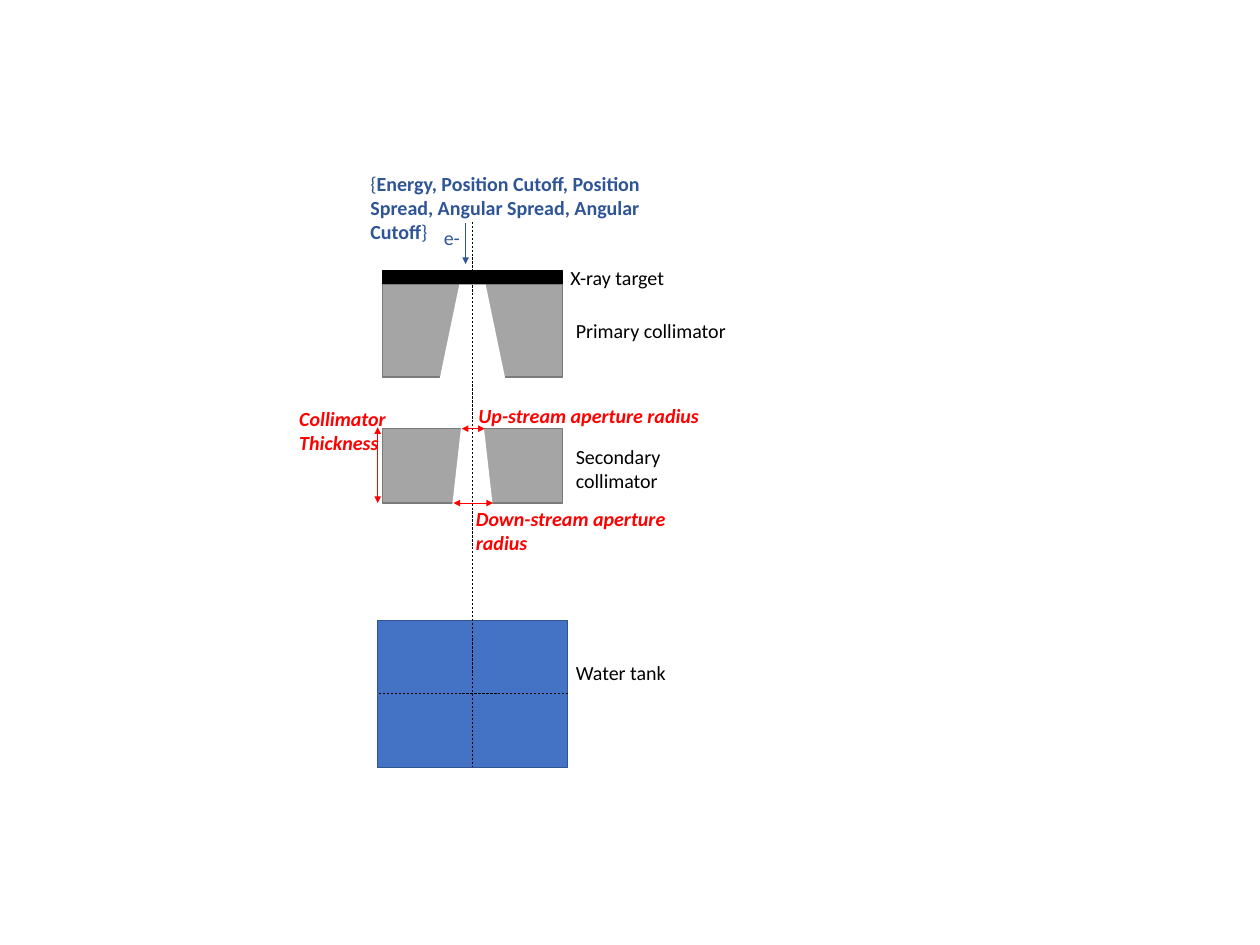
"""Build the X-ray beam line slide with target, collimators and water tank."""
from dataclasses import dataclass

from pptx import Presentation
from pptx.dml.color import RGBColor as RGB
from pptx.enum.dml import MSO_LINE_DASH_STYLE as Dash
from pptx.enum.shapes import MSO_CONNECTOR as Conn, MSO_SHAPE as Shp
from pptx.enum.text import MSO_AUTO_SIZE as AutoSize
from pptx.oxml.ns import qn
from pptx.shapes.base import BaseShape
from pptx.util import Cm, Pt

COLORS = {
    "black": "000000", "white": "FFFFFF", "metal": "A5A5A5", "metal_edge": "7A7A7A",
    "water": "4472C4", "water_edge": "325491", "beam": "2F5597", "red": "FF0000",
}
FONT = {"name": "Calibri", "size": Pt(18)}
PLAIN = {"bold": False, "italic": False}
BOLD = {"bold": True, "italic": False}
STRONG = {"bold": True, "italic": True}

AXIS = 15.0
BLOCK_W, TANK_W = 5.72, 6.05
TANK_LEFT, TANK_RIGHT = 11.99, 18.03
TANK_TOP, TANK_H = 19.69, 4.67
SEC_TOP, SEC_H = 13.61, 2.36
SEC_BOTTOM = SEC_TOP + SEC_H
LABEL_X, LABEL_W = 18.03, 5.28
ONE_LINE, TWO_LINES, THREE_LINES = 1.02, 1.8, 2.57


@dataclass
class Part:
    """A preset shape centred on the beam axis."""
    top: float
    width: float
    height: float
    fill: str
    edge: str | None = None
    kind: Shp = Shp.RECTANGLE


@dataclass
class Line:
    """A straight line, with optional dashes and arrowheads."""
    x1: float
    y1: float
    x2: float
    y2: float
    color: str = "black"
    dashed: bool = False
    ends: tuple[str, ...] = ()


@dataclass
class Label:
    """A text box made of runs that share one colour."""
    left: float
    top: float
    width: float
    height: float
    runs: list[tuple[str, dict]]
    color: str = "black"


def rgb(name: str) -> RGB:
    """Look up a named colour."""
    return RGB.from_string(COLORS[name])


def paint(sp: BaseShape, fill: str, edge: str | None) -> None:
    """Fill and outline a shape without a shadow."""
    sp.shadow.inherit = False
    sp.fill.solid()
    sp.fill.fore_color.rgb = rgb(fill)
    if edge:
        sp.line.color.rgb = rgb(edge)
        sp.line.width = Pt(1)
    else:
        sp.line.fill.background()


def draw_part(part: Part) -> None:
    """Draw a part centred on the axis."""
    box = (AXIS - part.width / 2, part.top, part.width, part.height)
    sp = s.shapes.add_shape(part.kind, *map(Cm, box))
    paint(sp, part.fill, part.edge)


def draw_aperture(top: float, bottom: float, half_top: float, half_bottom: float) -> None:
    """Cut a white trapezoid around the axis."""
    points = [(AXIS + half_top, top), (AXIS + half_bottom, bottom), (AXIS - half_bottom, bottom)]
    fb = s.shapes.build_freeform(Cm(AXIS - half_top), Cm(top))
    fb.add_line_segments([(Cm(x), Cm(y)) for x, y in points], close=True)
    paint(fb.convert_to_shape(), "white", None)


def draw_line(line: Line) -> None:
    """Draw a thin connector."""
    cx = s.shapes.add_connector(Conn.STRAIGHT, *map(Cm, (line.x1, line.y1, line.x2, line.y2)))
    cx.line.color.rgb = rgb(line.color)
    cx.line.width = Pt(0.5)
    if line.dashed:
        cx.line.dash_style = Dash.DASH
    ln = cx.line._get_or_add_ln()
    for end in line.ends:
        ln.makeelement(qn(f"a:{end}"), {"type": "triangle"})
        ln.append(ln.makeelement(qn(f"a:{end}"), {"type": "triangle"}))
    sp_pr = ln.getparent()
    sp_pr.append(sp_pr.makeelement(qn("a:effectLst"), {}))


def draw_label(label: Label) -> None:
    """Draw a wrapped text box."""
    box = (label.left, label.top, label.width, label.height)
    tf = s.shapes.add_textbox(*map(Cm, box)).text_frame
    tf.word_wrap = True
    tf.auto_size = AutoSize.SHAPE_TO_FIT_TEXT
    p = tf.paragraphs[0]
    for text, style in label.runs:
        r = p.add_run()
        r.text = text
        for key, value in {**FONT, **style}.items():
            setattr(r.font, key, value)
        r.font.color.rgb = rgb(label.color)


BOTH = ("headEnd", "tailEnd")
PRIMARY = [
    Part(8.59, BLOCK_W, 0.43, "black", "black"),
    Part(9.02, BLOCK_W, 2.95, "metal", "metal_edge"),
]
SECONDARY = [
    Part(SEC_TOP, BLOCK_W, SEC_H, "metal", "metal_edge"),
    Part(10.36, 2.34, 10.36, "white", kind=Shp.ISOSCELES_TRIANGLE),
    Part(TANK_TOP, TANK_W, TANK_H, "water", "water_edge"),
]
LINES = [
    Line(AXIS, 7.04, AXIS, TANK_TOP + TANK_H, dashed=True),
    Line(TANK_RIGHT, 22.02, TANK_LEFT, 22.02, dashed=True),
    Line(14.78, 7.09, 14.78, 8.38, "beam", ends=("tailEnd",)),
    Line(14.66, SEC_TOP, 15.39, SEC_TOP, "red", ends=BOTH),
    Line(14.4, SEC_BOTTOM, 15.65, SEC_BOTTOM, "red", ends=BOTH),
    Line(TANK_LEFT, 13.56, TANK_LEFT, SEC_BOTTOM, "red", ends=BOTH),
]
LABELS = [
    Label(13.84, 7.04, 1.27, ONE_LINE, [("e-", PLAIN)], "beam"),
    Label(17.86, 8.31, LABEL_W, ONE_LINE, [("X-ray target", PLAIN)]),
    Label(LABEL_X, 9.98, LABEL_W, ONE_LINE, [("Primary collimator", PLAIN)]),
    Label(LABEL_X, 14.0, LABEL_W, TWO_LINES, [("Secondary collimator", PLAIN)]),
    Label(LABEL_X, 20.85, LABEL_W, ONE_LINE, [("Water tank", PLAIN)]),
    Label(14.94, 12.67, 7.72, ONE_LINE, [("Up-stream aperture radius", STRONG)], "red"),
    Label(14.86, 15.95, 7.72, TWO_LINES, [("Down-stream aperture radius", STRONG)], "red"),
    Label(9.25, 12.78, 3.35, TWO_LINES, [("Collimator Thickness", STRONG)], "red"),
    Label(11.51, 5.31, 10.64, THREE_LINES, [
        ("{", PLAIN),
        ("Energy, Position Cutoff, Position Spread, Angular Spread, Angular Cutoff", BOLD),
        ("}", PLAIN),
    ], "beam"),
]

prs = Presentation()
prs.slide_width, prs.slide_height = Cm(40), Cm(30)
s = prs.slides.add_slide(prs.slide_layouts[6])

for part in PRIMARY:
    draw_part(part)
draw_aperture(9.04, 15.77, 0.42, 1.82)
for part in SECONDARY:
    draw_part(part)
for line in LINES:
    draw_line(line)
for label in LABELS:
    draw_label(label)

prs.save("out.pptx")
